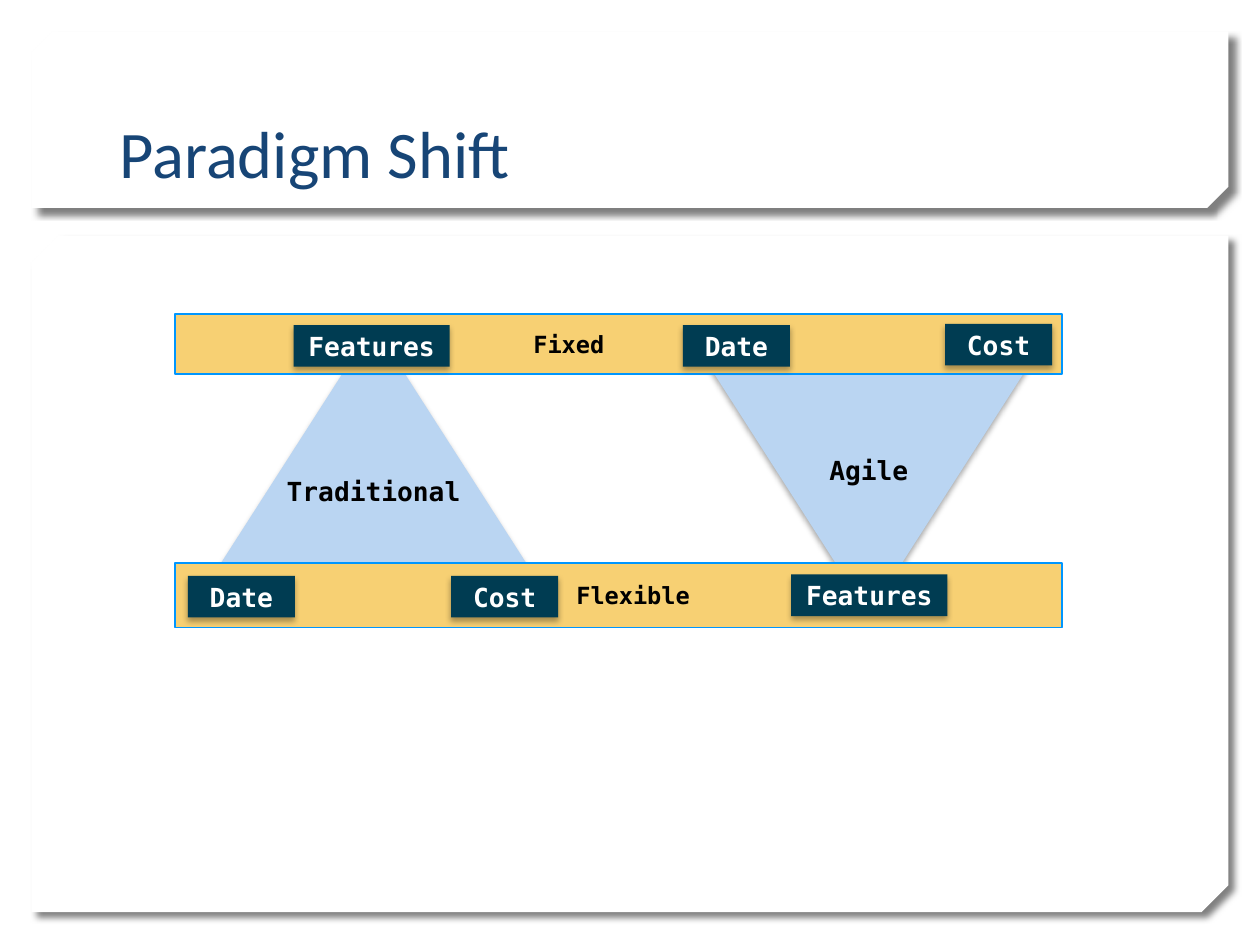
from lxml.etree import SubElement
from pptx import Presentation
from pptx.dml.color import RGBColor
from pptx.enum.shapes import MSO_SHAPE
from pptx.enum.text import MSO_ANCHOR, PP_ALIGN
from pptx.oxml.ns import qn
from pptx.util import Inches, Pt

PANEL_SHADOW = (50, 4, 5, 45)
SOFT_SHADOW = (32, 3.5, 2.2, 90)


def color(hex_code):
    return RGBColor.from_string(hex_code)


class SlideBuilder:
    title_font, label_font = "Calibri", "DejaVu Sans Mono"
    title_color, text_color, tag_text = "174576", "000000", "FFFFFF"
    panel_fill, triangle_fill, tag_fill = "FFFFFF", "BAD5F2", "003C52"
    bar_fill, bar_line = "F7D073", "0096FF"

    def __init__(self, page):
        self.page = page

    def style(self, shape, fill, line=None, shadow=None):
        """Set fill, outline and shadow (opacity, blur, distance, angle)."""
        shape.fill.solid()
        shape.fill.fore_color.rgb = color(fill)
        if line:
            shape.line.color.rgb = color(line)
            shape.line.width = Pt(1)
        else:
            shape.line.fill.background()
        shape.shadow.inherit = False
        if shadow:
            opacity, blur, distance, angle = shadow
            effects = shape._element.spPr.find(qn("a:effectLst"))
            outer = SubElement(effects, qn("a:outerShdw"), blurRad=str(Pt(blur)),
                               dist=str(Pt(distance)), dir=str(angle * 60000),
                               algn="ctr", rotWithShape="0")
            tint = SubElement(outer, qn("a:srgbClr"), val="000000")
            SubElement(tint, qn("a:alpha"), val=str(opacity * 1000))

    def add_text(self, shape, text, size, font, ink, bold=True, align=PP_ALIGN.CENTER,
                 anchor=MSO_ANCHOR.MIDDLE, insets=(0.04, 0.04, 0.04, 0.04)):
        frame = shape.text_frame
        frame.word_wrap = True
        frame.vertical_anchor = anchor
        (frame.margin_left, frame.margin_top,
         frame.margin_right, frame.margin_bottom) = map(Inches, insets)
        para = frame.paragraphs[0]
        para.alignment = align
        span = para.add_run()
        span.text = text
        span.font.name = font
        span.font.size = Pt(size)
        span.font.bold = bold
        span.font.color.rgb = color(ink)

    def shape(self, preset, left, top, width, height):
        return self.page.shapes.add_shape(
            preset, Inches(left), Inches(top), Inches(width), Inches(height))

    def panel(self, top, height, snip):
        """Draw a white backdrop with its lower right corner cut off."""
        panel = self.shape(MSO_SHAPE.SNIP_2_DIAG_RECTANGLE, 0.25, top, 9.5, height)
        panel.adjustments[0] = 0
        panel.adjustments[1] = snip
        panel._element.spPr.xfrm.set("flipV", "1")
        self.style(panel, self.panel_fill, shadow=PANEL_SHADOW)

    def title(self, text):
        box = self.page.shapes.add_textbox(
            Inches(0.85), Inches(0.32), Inches(8.29), Inches(1.25))
        self.add_text(box, text, 38, self.title_font, self.title_color, bold=False,
                      align=PP_ALIGN.LEFT, anchor=MSO_ANCHOR.BOTTOM,
                      insets=(0.1, 0.05, 0.1, 0.05))

    def triangle(self, text, left, top, width, height, inverted=False):
        if inverted:
            outline = self.page.shapes.build_freeform(Inches(left), Inches(top))
            outline.add_line_segments([
                (Inches(left + width), Inches(top)),
                (Inches(left + width / 2), Inches(top + height))], close=True)
            triangle = outline.convert_to_shape()
        else:
            triangle = self.shape(MSO_SHAPE.ISOSCELES_TRIANGLE, left, top, width, height)
        self.style(triangle, self.triangle_fill, shadow=SOFT_SHADOW)
        self.add_text(triangle, text, 15, self.label_font, self.text_color,
                      anchor=MSO_ANCHOR.MIDDLE if inverted else MSO_ANCHOR.TOP)

    def bar(self, text, top, height, left_inset=0, right_inset=0):
        bar = self.shape(MSO_SHAPE.RECTANGLE, 1.39, top, 7.04, height)
        self.style(bar, self.bar_fill, line=self.bar_line)
        self.add_text(bar, text, 13.5, self.label_font, self.text_color,
                      insets=(left_inset, 0, right_inset, 0))

    def tag(self, text, left, top):
        width = 1.24 if text == "Features" else 0.85
        tag = self.shape(MSO_SHAPE.RECTANGLE, left, top, width, 0.33)
        self.style(tag, self.tag_fill, shadow=SOFT_SHADOW)
        self.add_text(tag, text, 15, self.label_font, self.tag_text)


def main():
    deck = Presentation()
    deck.slide_width, deck.slide_height = Inches(10), Inches(7.5)
    builder = SlideBuilder(deck.slides.add_slide(deck.slide_layouts[6]))

    builder.panel(1.87, 5.37, 0.04)
    builder.panel(0.25, 1.4, 0.12)
    builder.title("Paradigm Shift")

    builder.triangle("Traditional", 1.49, 2.58, 2.95, 2.3)
    builder.triangle("Agile", 5.42, 2.58, 2.95, 2.3, inverted=True)
    builder.bar("Flexible", 4.47, 0.51, left_inset=0.23)
    builder.bar("Fixed", 2.49, 0.48, right_inset=0.79)

    for text, left, top in [
        ("Cost", 3.58, 4.57), ("Date", 1.49, 4.57), ("Features", 2.33, 2.58),
        ("Cost", 7.5, 2.57), ("Date", 5.42, 2.58), ("Features", 6.28, 4.56),
    ]:
        builder.tag(text, left, top)

    deck.save("out.pptx")


if __name__ == "__main__":
    main()
